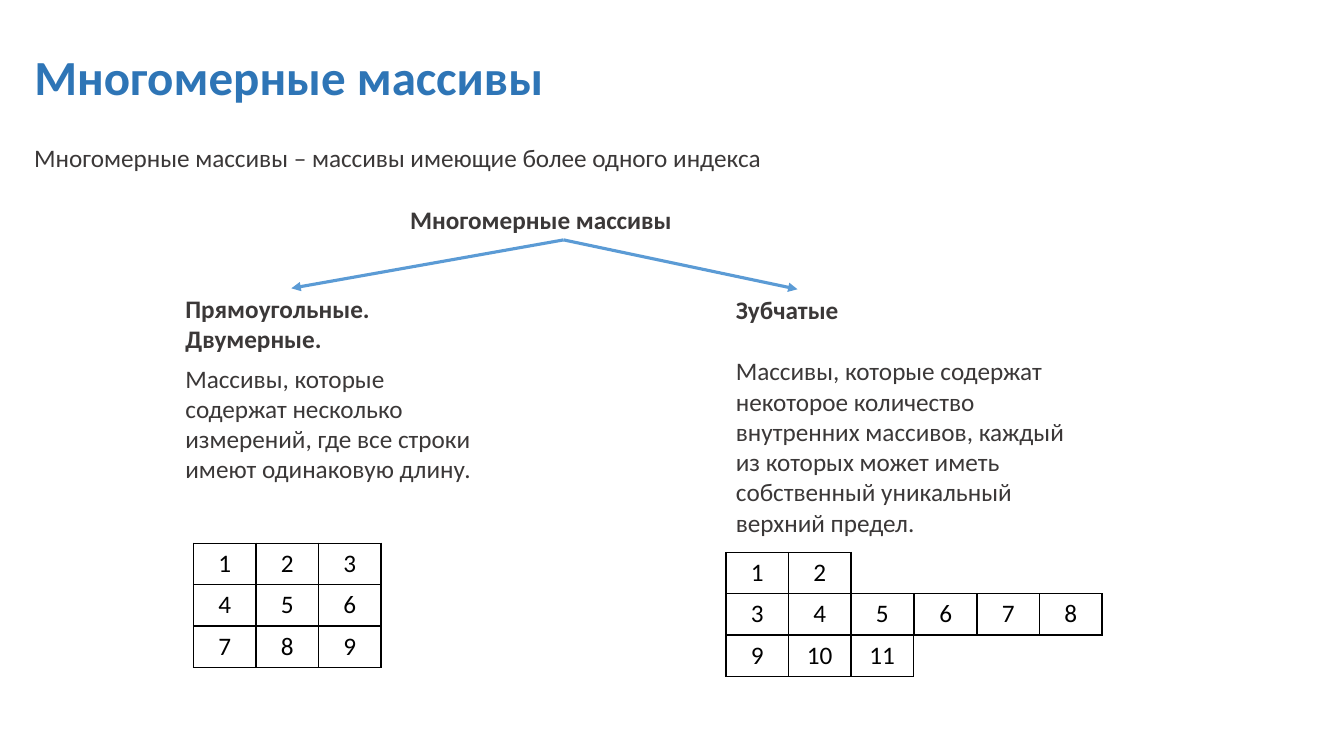
from dataclasses import dataclass

import lxml.etree
import pptx
import pptx.dml.color
import pptx.enum.dml
import pptx.enum.shapes
import pptx.enum.text
import pptx.oxml
import pptx.oxml.ns
import pptx.shapes.autoshape
import pptx.slide
import pptx.table
import pptx.text.text
import pptx.util

Inches = pptx.util.Inches
RGBColor = pptx.dml.color.RGBColor

TITLE_BLUE = RGBColor(0x2E, 0x75, 0xB6)
ARROW_BLUE = RGBColor(0x5B, 0x9B, 0xD5)
TEXT_GRAY = RGBColor(0x3B, 0x38, 0x38)
BLACK = RGBColor(0, 0, 0)
FONT = "Calibri"
TEXT_SIZE = 18
COLUMN_WIDTH = 0.62
ROW_HEIGHT = 0.41
TOP, BOTTOM = 0, 2  # connection sites of a rectangle


@dataclass
class Label:
    left: float
    top: float
    width: float
    height: float
    paragraphs: list[str]
    bold: bool = False


@dataclass
class Grid:
    left: float
    top: float
    rows: list[list[str]]

    def filled(self, row: int, column: int) -> bool:
        inside = 0 <= row < len(self.rows) and 0 <= column < len(self.rows[0])
        return inside and self.rows[row][column] != ""


INTRO = Label(0.24, 1.36, 11.28, 0.4,
              ["Многомерные массивы – массивы имеющие более одного индекса"])
ROOT = Label(3.97, 1.98, 3.24, 0.4, ["Многомерные массивы"], bold=True)
KINDS = [
    Label(1.74, 2.86, 2.3, 0.71, ["Прямоугольные.", "Двумерные."], bold=True),
    Label(7.2, 2.87, 1.42, 0.4, ["Зубчатые"], bold=True),
]
DEFINITIONS = [
    Label(1.74, 3.55, 3.15, 1.62,
          ["Массивы, которые содержат несколько",
           "измерений, где все строки имеют одинаковую длину."]),
    Label(7.2, 3.48, 3.68, 1.92,
          ["Массивы, которые содержат некоторое количество внутренних массивов, "
           "каждый из которых может иметь собственный уникальный верхний предел."]),
]
GRIDS = [
    Grid(1.92, 5.39, [["1", "2", "3"], ["4", "5", "6"], ["7", "8", "9"]]),
    Grid(7.2, 5.48, [["1", "2", ""], ["3", "4", "5"], ["9", "10", "11"]]),
    Grid(9.07, 5.48, [["", "", ""], ["6", "7", "8"], ["", "", ""]]),
]


def add_run(paragraph: pptx.text.text._Paragraph, text: str, size: float,
            color: RGBColor, bold: bool = False) -> None:
    run = paragraph.add_run()
    run.text = text
    run.font.name = FONT
    run.font.size = pptx.util.Pt(size)
    run.font.bold = bold
    run.font.color.rgb = color


def add_title(slide: pptx.slide.Slide, text: str) -> None:
    title = slide.shapes.title
    title.left, title.top = Inches(0.24), Inches(0.43)
    title.width, title.height = Inches(10.7), Inches(0.72)
    frame = title.text_frame
    frame.auto_size = pptx.enum.text.MSO_AUTO_SIZE.NONE
    frame.vertical_anchor = pptx.enum.text.MSO_ANCHOR.MIDDLE
    paragraph = frame.paragraphs[0]
    paragraph.alignment = pptx.enum.text.PP_ALIGN.LEFT
    paragraph.line_spacing = 0.9
    add_run(paragraph, text, 35, TITLE_BLUE, bold=True)


def add_label(slide: pptx.slide.Slide, label: Label) -> pptx.shapes.autoshape.Shape:
    box = slide.shapes.add_textbox(Inches(label.left), Inches(label.top),
                                   Inches(label.width), Inches(label.height))
    frame = box.text_frame
    frame.word_wrap = True
    for index, text in enumerate(label.paragraphs):
        paragraph = frame.add_paragraph() if index else frame.paragraphs[0]
        add_run(paragraph, text, TEXT_SIZE, TEXT_GRAY, label.bold)
    return box


def add_border(cell: pptx.table._Cell, side: str, visible: bool) -> None:
    fill = f'<a:solidFill><a:srgbClr val="{BLACK}"/></a:solidFill>' if visible else "<a:noFill/>"
    cell._tc.get_or_add_tcPr().append(pptx.oxml.parse_xml(
        f'<a:ln{side} {pptx.oxml.ns.nsdecls("a")} w="12700">{fill}</a:ln{side}>'))


def add_grid(slide: pptx.slide.Slide, grid: Grid) -> None:
    row_count, column_count = len(grid.rows), len(grid.rows[0])
    table = slide.shapes.add_table(
        row_count, column_count, Inches(grid.left), Inches(grid.top),
        Inches(COLUMN_WIDTH * column_count), Inches(ROW_HEIGHT * row_count)).table
    table.first_row = table.horz_banding = False
    for column in table.columns:
        column.width = Inches(COLUMN_WIDTH)
    for r, values in enumerate(grid.rows):
        table.rows[r].height = Inches(ROW_HEIGHT)
        for c, value in enumerate(values):
            cell = table.cell(r, c)
            # An edge shows when a value stands on either side of it
            neighbours = {"L": (r, c - 1), "R": (r, c + 1), "T": (r - 1, c), "B": (r + 1, c)}
            for side, neighbour in neighbours.items():
                add_border(cell, side, grid.filled(r, c) or grid.filled(*neighbour))
            cell.fill.background()
            cell.vertical_anchor = pptx.enum.text.MSO_ANCHOR.MIDDLE
            if value:
                paragraph = cell.text_frame.paragraphs[0]
                paragraph.alignment = pptx.enum.text.PP_ALIGN.CENTER
                add_run(paragraph, value, TEXT_SIZE, BLACK)
        if not any(values):
            table.cell(r, 0).merge(table.cell(r, column_count - 1))


def add_arrow(slide: pptx.slide.Slide, source: pptx.shapes.autoshape.Shape,
              target: pptx.shapes.autoshape.Shape) -> None:
    arrow = slide.shapes.add_connector(pptx.enum.shapes.MSO_CONNECTOR.STRAIGHT, 0, 0, 0, 0)
    arrow.begin_connect(source, BOTTOM)
    arrow.end_connect(target, TOP)
    arrow.line.color.rgb = ARROW_BLUE
    arrow.line.width = pptx.util.Pt(2.25)
    qn = pptx.oxml.ns.qn
    lxml.etree.SubElement(arrow.line._get_or_add_ln(), qn("a:tailEnd"), type="triangle")
    lxml.etree.SubElement(arrow._element.spPr, qn("a:effectLst"))


def main() -> None:
    presentation = pptx.Presentation()
    presentation.slide_width = Inches(13.33)
    presentation.slide_height = Inches(7.5)
    slide = presentation.slides.add_slide(presentation.slide_layouts[5])

    # Heading and definition
    add_title(slide, "Многомерные массивы")
    add_label(slide, INTRO)

    # Tree of array kinds
    root = add_label(slide, ROOT)
    kinds = [add_label(slide, kind) for kind in KINDS]
    for definition in DEFINITIONS:
        add_label(slide, definition)

    # Example arrays
    for grid in GRIDS:
        add_grid(slide, grid)

    # Branches
    for kind in kinds:
        add_arrow(slide, root, kind)

    presentation.save("out.pptx")


if __name__ == "__main__":
    main()
